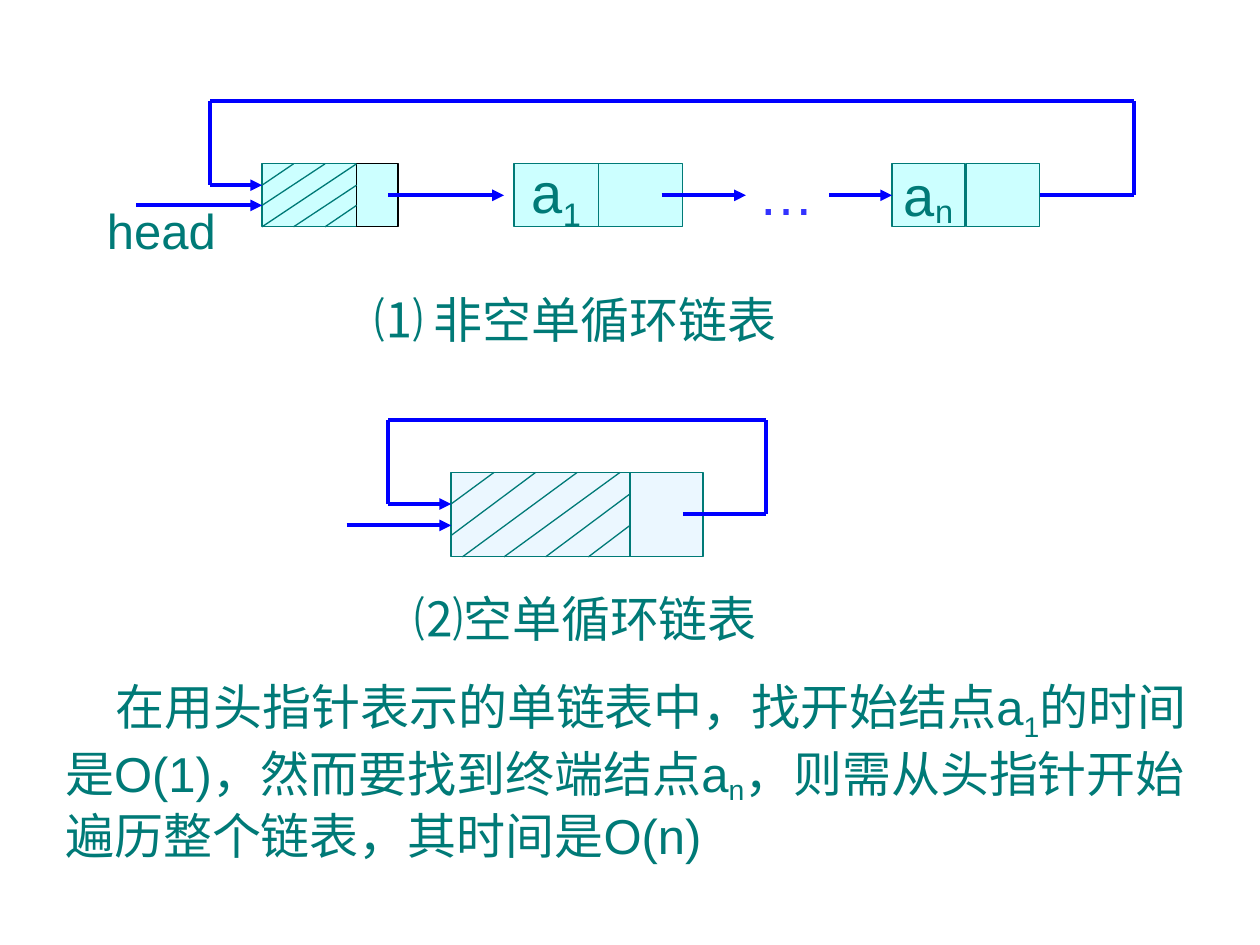
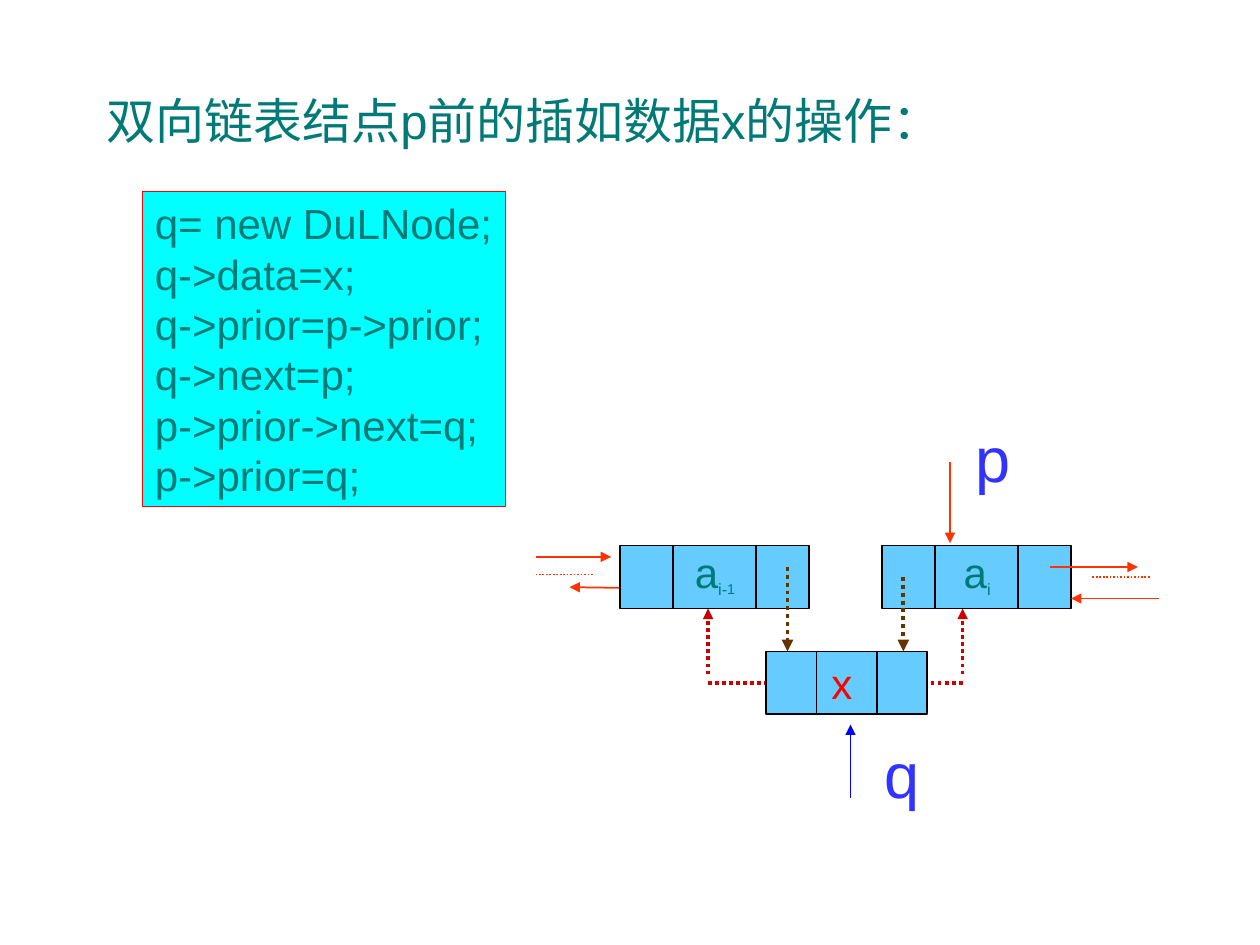
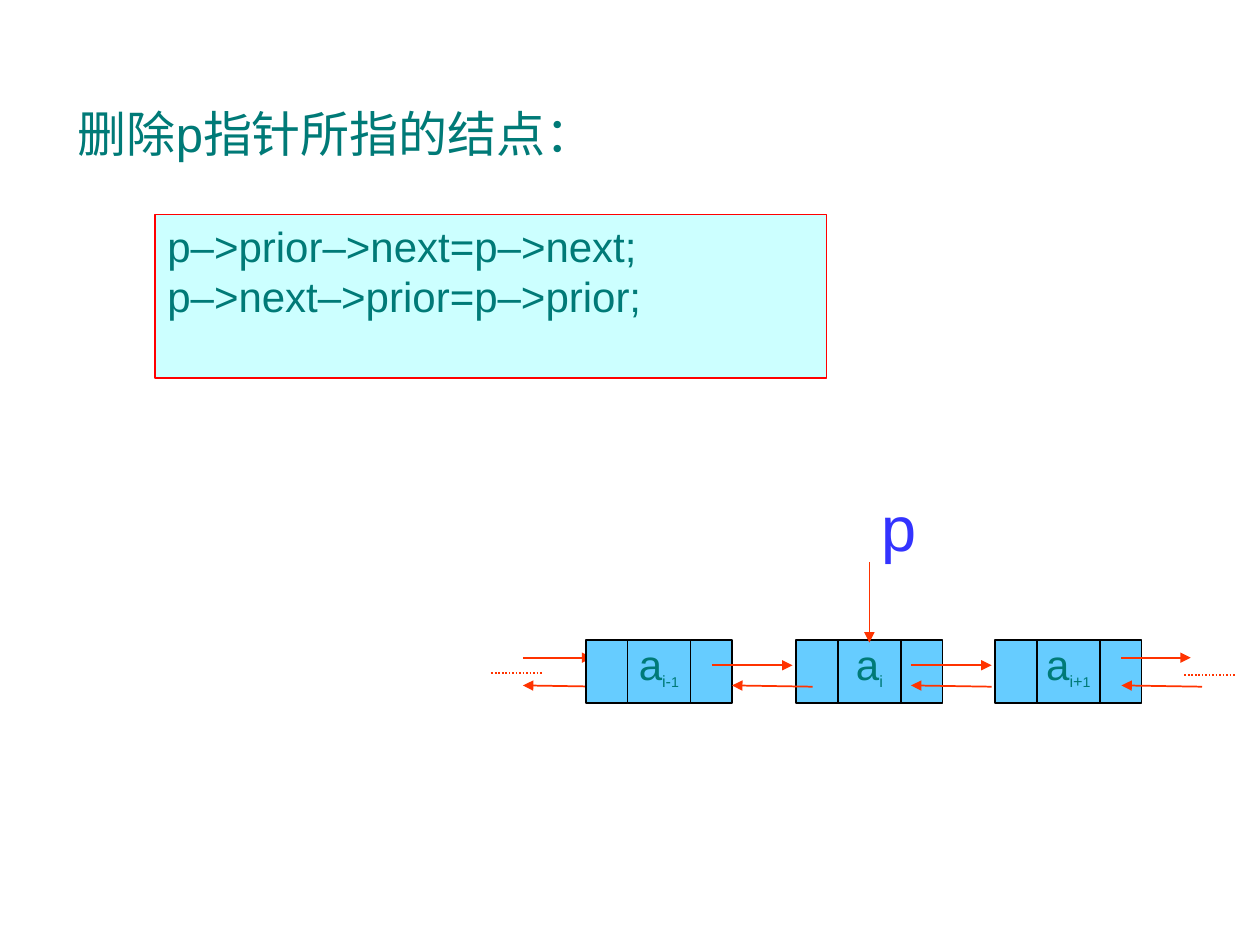
"""Build three slides on circular and doubly linked lists."""
from itertools import pairwise

from lxml import etree
from pptx import Presentation
from pptx.dml.color import RGBColor
from pptx.enum.dml import MSO_LINE
from pptx.enum.shapes import MSO_CONNECTOR, MSO_SHAPE
from pptx.enum.text import MSO_ANCHOR, PP_ALIGN
from pptx.oxml.ns import qn
from pptx.util import Inches, Pt

STRAIGHT = MSO_CONNECTOR.STRAIGHT
RECT = MSO_SHAPE.RECTANGLE
DOTTED = MSO_LINE.ROUND_DOT
LEFT, CENTER = PP_ALIGN.LEFT, PP_ALIGN.CENTER
TOP, MIDDLE = MSO_ANCHOR.TOP, MSO_ANCHOR.MIDDLE

FONT = "Arial"
TEAL, BLUE, LABEL = "007A77", "0000FF", "3333FF"
BLACK, RED, CRIMSON = "000000", "FF0000", "CC0000"
ORANGE, BROWN = "FF3300", "663300"
PALE_CYAN, CYAN, PALE_BLUE, SKY = "CCFFFF", "00FFFF", "EBF7FF", "66CCFF"


def add_box(s, x, y, w, h, paras=(), size=24, color=TEAL, fill=None, edge=TEAL,
            weight=0.75, align=LEFT, anchor=TOP, wrap=True, spacing=None,
            before=0, indent=0):
    at = [Inches(v) for v in (x, y, w, h)]
    if fill:
        sp = s.shapes.add_shape(RECT, *at)
        sp.shadow.inherit = False
        sp.fill.solid()
        sp.fill.fore_color.rgb = RGBColor.from_string(fill)
        sp.line.color.rgb = RGBColor.from_string(edge)
        sp.line.width = Pt(weight)
    else:
        sp = s.shapes.add_textbox(*at)
    tf = sp.text_frame
    tf.word_wrap = wrap
    tf.vertical_anchor = anchor
    for i, runs in enumerate(paras):
        p = tf.add_paragraph() if i else tf.paragraphs[0]
        p.alignment = align
        p.space_before = Pt(before)
        if spacing:
            p.line_spacing = spacing
        if indent:
            p._p.get_or_add_pPr().set("indent", str(Inches(indent)))
        p.font.name = FONT
        p.font.size = Pt(size)
        p.font.color.rgb = RGBColor.from_string(color)
        for text, baseline, run_size in runs:
            r = p.add_run()
            r.text = text
            if baseline:
                r.font.size = Pt(run_size)
                r._r.get_or_add_rPr().set("baseline", str(baseline * 1000))


def add_path(s, points, color, weight, arrow=False, dash=None):
    for (x1, y1), (x2, y2) in pairwise(points):
        c = s.shapes.add_connector(STRAIGHT, Inches(x1), Inches(y1), Inches(x2), Inches(y2))
        c.line.color.rgb = RGBColor.from_string(color)
        c.line.width = Pt(weight)
        if dash:
            c.line.dash_style = dash
        etree.SubElement(c._element.spPr, qn("a:effectLst"))
    if arrow:
        etree.SubElement(c.line._get_or_add_ln(), qn("a:tailEnd"), type="triangle")


prs = Presentation()
prs.slide_width, prs.slide_height = Inches(10), Inches(7.5)
blank = prs.slide_layouts[6]

PREV = [("a", 0, 0), ("i-", -25, 16), ("1", -25, 14)]
THIS = [("a", 0, 0), ("i", -25, 16)]
NEXT = [("a", 0, 0), ("i+", -25, 16), ("1", -25, 14)]

# Circular lists
s = prs.slides.add_slide(blank)
for x, y, w, text in [(2.87, 2.25, 4.25, "⑴ 非空单循环链表"), (3.19, 4.62, 3.31, "⑵空单循环链表")]:
    add_box(s, x, y, w, 0.57, [[(text, 0, 0)]], 28)
body = [("在用头指针表示的单链表中，找开始结点a", 0, 0), ("1", -25, 28),
        ("的时间是O(1)，然而要找到终端结点a", 0, 0), ("n", -16, 28),
        ("，则需从头指针开始遍历整个链表，其时间是O(n)", 0, 0)]
add_box(s, 0.42, 5.32, 9.17, 1.65, [body], 28, before=4, indent=0.4)

for x, w, edge, runs in [
    (2.08, 0.75, TEAL, None), (2.83, 0.33, BLACK, None),
    (4.08, 0.67, TEAL, [("a", 0, 0), ("1", -25, 32)]), (4.75, 0.67, TEAL, None),
    (7.08, 0.58, TEAL, [("a", 0, 0), ("n", -14, 32)]), (7.67, 0.58, TEAL, None),
]:
    add_box(s, x, 1.3, w, 0.5, [runs] if runs else [], 32, fill=PALE_CYAN, edge=edge,
            align=CENTER, anchor=MIDDLE, wrap=False, before=8)
for x, w in [(3.58, 1.42), (5, 0.58)]:
    add_box(s, x, 3.75, w, 0.67, fill=PALE_BLUE)
for x1, y1, x2, y2 in [
    (2.33, 1.3, 2.08, 1.47), (2.58, 1.3, 2.08, 1.63), (2.83, 1.3, 2.08, 1.8),
    (2.83, 1.47, 2.33, 1.8), (2.83, 1.63, 2.58, 1.8),
    (3.92, 3.75, 3.58, 4), (4.25, 3.75, 3.58, 4.25), (4.58, 3.75, 3.67, 4.42),
    (4.92, 3.75, 4, 4.42), (5, 3.92, 4.33, 4.42), (5, 4.17, 4.67, 4.42),
]:
    add_path(s, [(x1, y1), (x2, y2)], TEAL, 0.75)
add_box(s, 5.92, 1.22, 0.68, 0.64, [[("…", 0, 0)]], 32, LABEL, before=8)
add_box(s, 0.75, 1.54, 1.17, 0.57, [[("head", 0, 0)]], 28, before=7)
for points in [
    [(1.08, 1.63), (2.08, 1.63)],
    [(3.08, 1.55), (4, 1.55)],
    [(5.25, 1.55), (5.92, 1.55)],
    [(6.58, 1.55), (7.08, 1.55)],
    [(8.25, 1.55), (9, 1.55), (9, 0.8), (1.67, 0.8), (1.67, 1.47), (2.08, 1.47)],
    [(2.75, 4.17), (3.58, 4.17)],
    [(5.42, 4.08), (6.08, 4.08), (6.08, 3.33), (3.08, 3.33), (3.08, 4), (3.58, 4)],
]:
    add_path(s, points, BLUE, 2.25, arrow=True)

# Insertion into a doubly linked list
s = prs.slides.add_slide(blank)
add_box(s, 0.75, 0.67, 7.83, 0.57, [[("双向链表结点p前的插如数据x的操作：", 0, 0)]], 28)
code = ["q= new DuLNode;", "q->data=x;", "q->prior=p->prior;", "q->next=p;",
        "p->prior->next=q;", "p->prior=q;"]
add_box(s, 1.13, 1.52, 2.88, 2.5, [[(text, 0, 0)] for text in code],
        fill=CYAN, edge=RED, wrap=False)
for x, inner in [(5.62, 6.35), (7.64, 7.18)]:
    add_path(s, [(x, 5.35), (x, 4.83)], CRIMSON, 2, arrow=True, dash=DOTTED)
    add_path(s, [(x, 5.42), (inner, 5.42)], CRIMSON, 2, dash=DOTTED)
add_path(s, [(5.23, 4.67), (4.52, 4.66)], ORANGE, 1, arrow=True)
add_box(s, 6.08, 5.17, 1.28, 0.5, fill=SKY, edge=BLACK, weight=1)
for x in (6.48, 6.96):
    add_path(s, [(x, 5.17), (x, 5.67)], BLACK, 1)
add_box(s, 6.5, 5.17, 0.36, 0.5, [[("x", 0, 0)]], color=RED, wrap=False)
for left, runs in [(4.92, PREV), (7, THIS)]:
    for dx, w, paras in [(0, 0.42, []), (0.42, 0.67, [runs]), (1.08, 0.42, [])]:
        add_box(s, left + dx, 4.33, w, 0.5, paras, fill=SKY, edge=BLACK, weight=1,
                align=CENTER, anchor=MIDDLE, wrap=False, spacing=0.7)
for points in [
    [(4.25, 4.42), (4.85, 4.42)], [(9.2, 4.75), (8.5, 4.75)],
    [(8.33, 4.5), (9.03, 4.5)], [(7.54, 3.67), (7.54, 4.31)],
]:
    add_path(s, points, ORANGE, 1, arrow=True)
for x, y in [(4.25, 4.56), (8.67, 4.58)]:
    add_path(s, [(x, y), (x + 0.46, y)], ORANGE, 1, dash=DOTTED)
for x, y in [(6.25, 4.5), (7.17, 4.58)]:
    add_path(s, [(x, y), (x, 5.17)], BROWN, 2.25, arrow=True, dash=DOTTED)
add_path(s, [(6.75, 6.33), (6.75, 5.75)], BLUE, 0.75, arrow=True)
add_box(s, 7.64, 3.28, 0.48, 0.7, [[("p", 0, 0)]], 36, LABEL, wrap=False)
add_box(s, 6.92, 6, 0.5, 0.46, [[("q", 0, 0)]], 36, LABEL, spacing=0.6)

# Deletion from a doubly linked list
s = prs.slides.add_slide(blank)
add_box(s, 0.52, 0.77, 4.48, 0.57, [[("删除p指针所指的结点：", 0, 0)]], 28)
code = ["p–>prior–>next=p–>next;", "p–>next–>prior=p–>prior;"]
add_box(s, 1.23, 1.7, 5.33, 1.3, [[(text, 0, 0)] for text in code], fill=PALE_CYAN, edge=RED)
add_path(s, [(4.15, 5.22), (4.7, 5.22)], ORANGE, 1, arrow=True)
add_path(s, [(4.79, 5.45), (4.15, 5.44)], ORANGE, 1, arrow=True)
for left, runs in [(4.65, PREV), (6.32, THIS), (7.9, NEXT)]:
    for dx, w, paras in [(0, 0.33, []), (0.33, 0.5, [runs]), (0.83, 0.33, [])]:
        add_box(s, left + dx, 5.08, w, 0.5, paras, fill=SKY, edge=BLACK, weight=1,
                align=CENTER, anchor=MIDDLE, wrap=False, spacing=0.6)
for x in (5.65, 7.23):
    add_path(s, [(x, 5.28), (x + 0.64, 5.28)], ORANGE, 1, arrow=True)
for x in (5.81, 7.23, 8.9):
    add_path(s, [(x + 0.64, 5.45), (x, 5.44)], ORANGE, 1, arrow=True)
add_path(s, [(8.9, 5.22), (9.45, 5.22)], ORANGE, 1, arrow=True)
add_path(s, [(6.9, 4.46), (6.9, 5.1)], ORANGE, 1, arrow=True)
for x, y in [(3.9, 5.34), (9.4, 5.36)]:
    add_path(s, [(x, y), (x + 0.41, y)], ORANGE, 1, dash=DOTTED)
add_box(s, 6.9, 3.83, 0.5, 0.7, [[("p", 0, 0)]], 36, LABEL)

prs.save("out.pptx")
